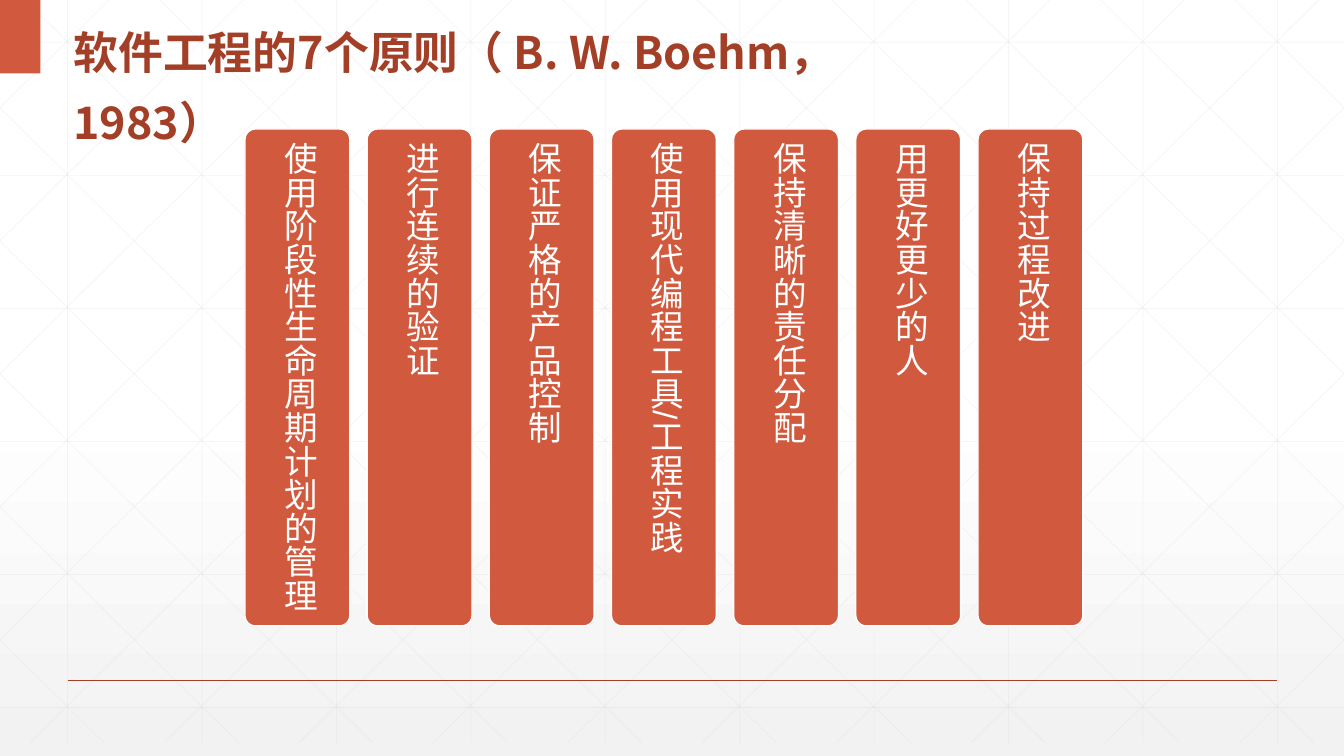
from pptx import Presentation
from pptx.dml.color import RGBColor
from pptx.enum.shapes import MSO_CONNECTOR, MSO_SHAPE
from pptx.enum.text import MSO_ANCHOR, PP_ALIGN
from pptx.oxml.ns import qn
from pptx.util import Inches, Pt
from lxml import etree

STRAIGHT = MSO_CONNECTOR.STRAIGHT
RECTANGLE = MSO_SHAPE.RECTANGLE
ROUNDED = MSO_SHAPE.ROUNDED_RECTANGLE
TOP, MIDDLE = MSO_ANCHOR.TOP, MSO_ANCHOR.MIDDLE
LEFT = PP_ALIGN.LEFT

COLORS = {
    "white": "FFFFFF",
    "mist": "F2F2F2",
    "grid": "D9D9D9",
    "brick": "D15A3E",
    "rust": "A43F27",
}
TITLE_FONT = "Noto Sans CJK SC"
BODY_FONT = "Arial"

SLIDE_WIDTH, SLIDE_HEIGHT = 13.33, 7.5
GRID_HEIGHT = 7.37
GRID_STEP_X, GRID_STEP_Y = 4 / 3, 1.32
DIAGONAL_RUN = 7.45
CARD_LEFT, CARD_TOP, CARD_STEP = 2.43, 1.28, 7.27 / 6
CARD_WIDTH, CARD_HEIGHT = 1.04, 4.93

TITLE = "软件工程的7个原则（ B. W. Boehm，1983）"
PRINCIPLES = [
    "使用阶段性生命周期计划的管理",
    "进行连续的验证",
    "保证严格的产品控制",
    "使用现代编程工具/工程实践",
    "保持清晰的责任分配",
    "用更好更少的人",
    "保持过程改进",
]


def color(name):
    return RGBColor.from_string(COLORS[name])


class SlideBuilder:
    def __init__(self, slide):
        self.slide = slide

    def background(self):
        """Fade from white to light grey in the lower half."""
        fill = self.slide.background.fill
        fill.gradient()
        fill.gradient_angle = 270
        stops = ((0.53, "white"), (1, "mist"))
        for stop, (position, name) in zip(fill.gradient_stops, stops):
            stop.position = position
            stop.color.rgb = color(name)

    def line(self, start, end, name, width, opacity=100):
        points = [Inches(value) for value in (*start, *end)]
        connector = self.slide.shapes.add_connector(STRAIGHT, *points)
        connector.line.color.rgb = color(name)
        connector.line.width = Pt(width)
        properties = connector._element.spPr
        if opacity < 100:
            rgb = properties.find(".//" + qn("a:srgbClr"))
            etree.SubElement(rgb, qn("a:alpha"), val=str(opacity * 1000))
        etree.SubElement(properties, qn("a:effectLst"))

    def grid_line(self, start, end):
        self.line(start, end, "grid", 0.5, opacity=25)

    def diagonal_pair(self, top_x):
        """Draw a falling diagonal, cut at the slide edges, and its mirror."""
        slope = GRID_HEIGHT / DIAGONAL_RUN
        start_x = max(top_x, 0)
        end_x = min(top_x + DIAGONAL_RUN, SLIDE_WIDTH)
        start_y, end_y = [(x - top_x) * slope for x in (start_x, end_x)]
        self.grid_line((start_x, start_y), (end_x, end_y))
        self.grid_line((SLIDE_WIDTH - start_x, start_y),
                       (SLIDE_WIDTH - end_x, end_y))

    def block(self, preset, left, top, width, height):
        shape = self.slide.shapes.add_shape(
            preset, Inches(left), Inches(top), Inches(width), Inches(height))
        shape.shadow.inherit = False
        shape.fill.solid()
        shape.fill.fore_color.rgb = color("brick")
        shape.line.fill.background()
        return shape

    def style_text(self, frame, text, font_name, size, name, spacing, bold=False):
        frame.word_wrap = True
        frame.text = text
        paragraph = frame.paragraphs[0]
        paragraph.alignment = LEFT
        paragraph.line_spacing = spacing
        font = paragraph.runs[0].font
        font.name = font_name
        font.size = Pt(size)
        font.bold = bold
        font.color.rgb = color(name)
        return font

    def title(self, text):
        box = self.slide.shapes.add_textbox(
            Inches(0.63), Inches(0), Inches(9.21), Inches(0.73))
        frame = box.text_frame
        frame.vertical_anchor = TOP
        frame.margin_top = Inches(0.08)
        font = self.style_text(frame, text, TITLE_FONT, 32, "rust", Pt(50), True)
        east_asian = etree.Element(qn("a:ea"), typeface=TITLE_FONT)
        font._element.find(qn("a:latin")).addnext(east_asian)

    def card(self, left, text):
        """Draw a rounded column with vertical text."""
        shape = self.block(ROUNDED, left, CARD_TOP, CARD_WIDTH, CARD_HEIGHT)
        shape.adjustments[0] = 0.1
        shape.line.color.rgb = color("white")
        shape.line.width = Pt(1)
        inset = 0.03
        box = self.slide.shapes.add_textbox(
            Inches(left + inset), Inches(CARD_TOP + inset),
            Inches(CARD_WIDTH - 2 * inset), Inches(CARD_HEIGHT - 2 * inset))
        frame = box.text_frame
        frame.vertical_anchor = MIDDLE
        frame.margin_left = frame.margin_right = Inches(0.1)
        frame.margin_top = frame.margin_bottom = Inches(0.1)
        self.style_text(frame, text, BODY_FONT, 24, "white", 0.9)
        frame._txBody.bodyPr.set("vert", "eaVert")


def main():
    presentation = Presentation()
    presentation.slide_width = Inches(SLIDE_WIDTH)
    presentation.slide_height = Inches(SLIDE_HEIGHT)
    builder = SlideBuilder(
        presentation.slides.add_slide(presentation.slide_layouts[6]))

    builder.background()
    for column in range(10):
        x = 0.67 + column * GRID_STEP_X
        builder.grid_line((x, 0), (x, GRID_HEIGHT))
    for row in range(6):
        y = 0.42 + row * GRID_STEP_Y
        builder.grid_line((0, y), (SLIDE_WIDTH, y))
    for index in range(-5, 10):
        builder.diagonal_pair(0.25 + index * GRID_STEP_X)

    builder.line((0.67, 6.75), (12.67, 6.75), "rust", 1)
    builder.block(RECTANGLE, 0, 0, 0.4, 0.73)
    builder.title(TITLE)
    for index, principle in enumerate(PRINCIPLES):
        builder.card(CARD_LEFT + index * CARD_STEP, principle)

    presentation.save("out.pptx")


if __name__ == "__main__":
    main()
